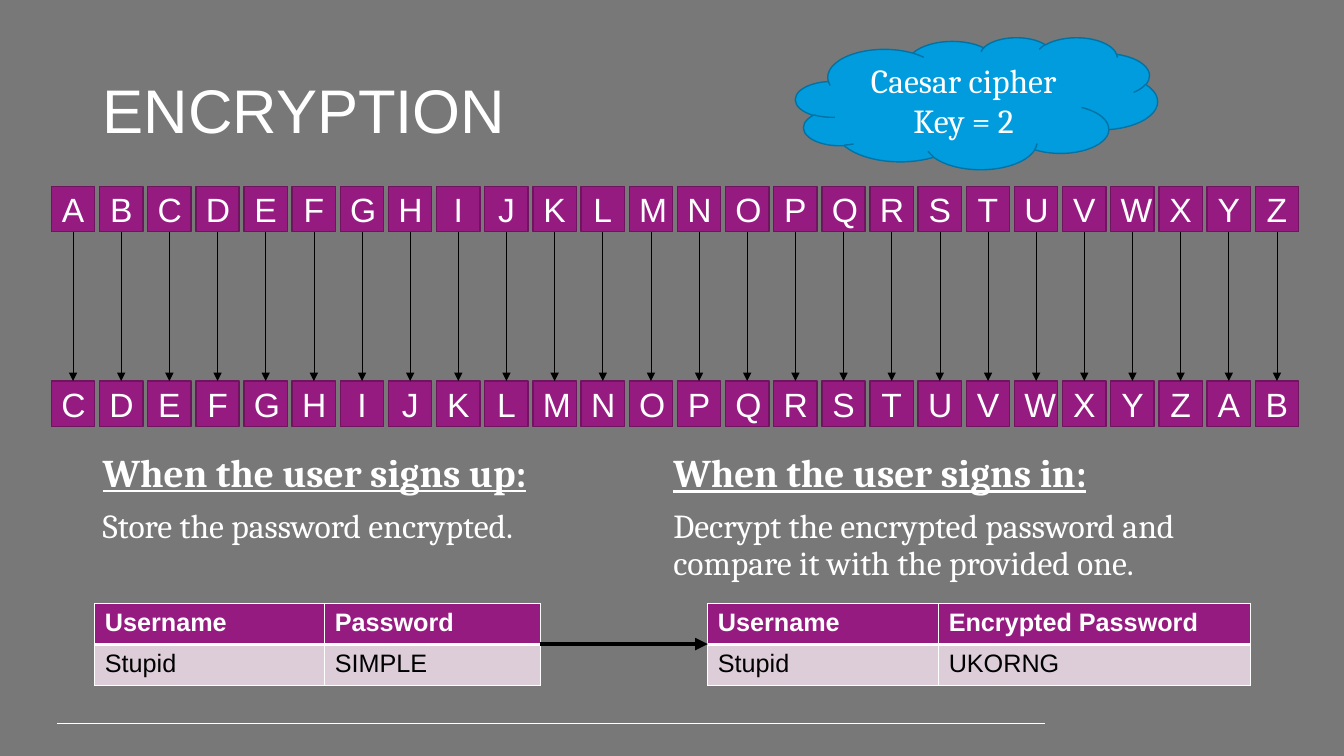
from lxml.etree import SubElement
from pptx import Presentation
from pptx.dml.color import RGBColor
from pptx.enum.shapes import MSO_CONNECTOR, MSO_SHAPE
from pptx.enum.text import MSO_ANCHOR, MSO_AUTO_SIZE, PP_ALIGN
from pptx.oxml import parse_xml
from pptx.oxml.ns import nsdecls, qn
from pptx.util import Inches, Pt

GRAY = RGBColor(0x78, 0x78, 0x78)
WHITE = RGBColor(0xFF, 0xFF, 0xFF)
BLACK = RGBColor(0x00, 0x00, 0x00)
PURPLE = RGBColor(0x96, 0x1B, 0x81)
DARK_PURPLE = RGBColor(0x6F, 0x14, 0x5F)
PALE_PURPLE = RGBColor(0xDD, 0xCD, 0xD8)
BLUE = RGBColor(0x00, 0x9C, 0xDE)
DARK_BLUE = RGBColor(0x00, 0x73, 0xA4)

ALPHABET = "ABCDEFGHIJKLMNOPQRSTUVWXYZ"
KEY = 2
TILE_LEFT, TILE_PITCH = 0.51, 0.4776
TILE_WIDTH, TILE_HEIGHT = 0.43, 0.45
PLAIN_TOP, CIPHER_TOP = 1.85, 3.78


def style_paragraph(paragraph, size, font_name, color=WHITE, bold=False, underline=False):
    """Format every run of a paragraph."""
    for run in paragraph.runs:
        run.font.size = Pt(size)
        run.font.name = font_name
        run.font.color.rgb = color
        run.font.bold = bold
        run.font.underline = underline


def add_filled_shape(slide, preset, box, fill, outline, text, font_name):
    """Add a preset shape with centred white text."""
    shape = slide.shapes.add_shape(preset, *map(Inches, box))
    shape.shadow.inherit = False
    shape.fill.solid()
    shape.fill.fore_color.rgb = fill
    shape.line.color.rgb = outline
    shape.line.width = Pt(1)
    shape.text_frame.text = text
    shape.text_frame.vertical_anchor = MSO_ANCHOR.MIDDLE
    for paragraph in shape.text_frame.paragraphs:
        paragraph.alignment = PP_ALIGN.CENTER
        style_paragraph(paragraph, 24, font_name)


def add_line(slide, start, end, color, width, arrow=False):
    """Add a straight line, with an arrowhead at its end on request."""
    line = slide.shapes.add_connector(
        MSO_CONNECTOR.STRAIGHT, *map(Inches, (*start, *end)))
    line.line.color.rgb = color
    line.line.width = Pt(width)
    if arrow:
        SubElement(line.line._get_or_add_ln(), qn("a:tailEnd"), type="triangle")
    SubElement(line._element.spPr, qn("a:effectLst"))


def add_text(slide, box, text):
    """Add a wrapping text box and return its text frame."""
    frame = slide.shapes.add_textbox(*map(Inches, box)).text_frame
    frame.word_wrap = True
    frame.text = text
    for paragraph in frame.paragraphs:
        paragraph.line_spacing = 0.9
    return frame


def add_title(slide, text):
    """Add the slide title."""
    frame = add_text(slide, (0.92, 0.4, 11.5, 1.45), text)
    frame.vertical_anchor = MSO_ANCHOR.MIDDLE
    style_paragraph(frame.paragraphs[0], 44, "Arial")


def add_step(slide, box, heading, explanation):
    """Add an underlined heading with its explanation."""
    frame = add_text(slide, box, f"{heading}\n{explanation}")
    frame.auto_size = MSO_AUTO_SIZE.SHAPE_TO_FIT_TEXT
    for paragraph in frame.paragraphs:
        paragraph.space_before = Pt(10)
    style_paragraph(frame.paragraphs[0], 28, "Cambria", bold=True, underline=True)
    style_paragraph(frame.paragraphs[1], 24, "Cambria")


def set_borders(cell, widths):
    """Draw white cell borders of the given widths in points."""
    properties = cell._tc.get_or_add_tcPr()
    for index, (side, width) in enumerate(widths.items()):
        properties.insert(index, parse_xml(
            f'<a:ln{side} {nsdecls("a")} w="{Pt(width)}"><a:solidFill>'
            f'<a:srgbClr val="{WHITE}"/></a:solidFill></a:ln{side}>'))


def add_credentials(slide, left, column_widths, rows):
    """Add a table of credentials with a purple header row."""
    table = slide.shapes.add_table(
        len(rows), len(column_widths), Inches(left), Inches(5.99),
        Inches(sum(column_widths)), Inches(0.81)).table
    for column, width in zip(table.columns, column_widths):
        column.width = Inches(width)
    for row_index, row in enumerate(rows):
        header = row_index == 0
        for column_index, text in enumerate(row):
            cell = table.cell(row_index, column_index)
            cell.fill.solid()
            cell.fill.fore_color.rgb = PURPLE if header else PALE_PURPLE
            cell.text_frame.text = text
            style_paragraph(cell.text_frame.paragraphs[0], 18, "Arial",
                            WHITE if header else BLACK, bold=header)
            set_borders(cell, {"L": 1, "R": 1, "T": 1 if header else 3,
                               "B": 3 if header else 1})


def add_cipher(slide):
    """Add the alphabet, its shifted copy and the arrows between them."""
    shifted = ALPHABET[KEY:] + ALPHABET[:KEY]
    for index, (plain, cipher) in enumerate(zip(ALPHABET, shifted)):
        left = TILE_LEFT + index * TILE_PITCH
        for letter, top in ((plain, PLAIN_TOP), (cipher, CIPHER_TOP)):
            add_filled_shape(slide, MSO_SHAPE.RECTANGLE,
                             (left, top, TILE_WIDTH, TILE_HEIGHT),
                             PURPLE, DARK_PURPLE, letter, "Arial")
        center = left + TILE_WIDTH / 2
        add_line(slide, (center, PLAIN_TOP + TILE_HEIGHT), (center, CIPHER_TOP),
                 BLACK, 0.5, arrow=True)


def main():
    """Build the encryption slide."""
    presentation = Presentation()
    presentation.slide_width = Inches(13.33)
    presentation.slide_height = Inches(7.5)
    slide = presentation.slides.add_slide(presentation.slide_layouts[6])
    slide.background.fill.solid()
    slide.background.fill.fore_color.rgb = GRAY

    add_line(slide, (0.57, 7.18), (10.36, 7.18), WHITE, 0.75)
    add_title(slide, "ENCRYPTION")
    add_cipher(slide)
    add_step(slide, (0.92, 4.45, 5.67, 1.03), "When the user signs up:",
             "Store the password encrypted.")
    add_credentials(slide, 0.94, (2.28, 2.14),
                    (("Username", "Password"), ("Stupid", "SIMPLE")))
    add_credentials(slide, 7.02, (2.29, 3.09),
                    (("Username", "Encrypted Password"), ("Stupid", "UKORNG")))
    add_step(slide, (6.58, 4.45, 5.86, 1.39), "When the user signs in:",
             "Decrypt the encrypted password and compare it with the provided one.")
    add_line(slide, (5.36, 6.39), (7.02, 6.39), BLACK, 3, arrow=True)
    add_filled_shape(slide, MSO_SHAPE.CLOUD, (7.89, 0.37, 3.59, 1.31),
                     BLUE, DARK_BLUE, "Caesar cipher\nKey = 2", "Cambria")
    presentation.save("out.pptx")


main()
